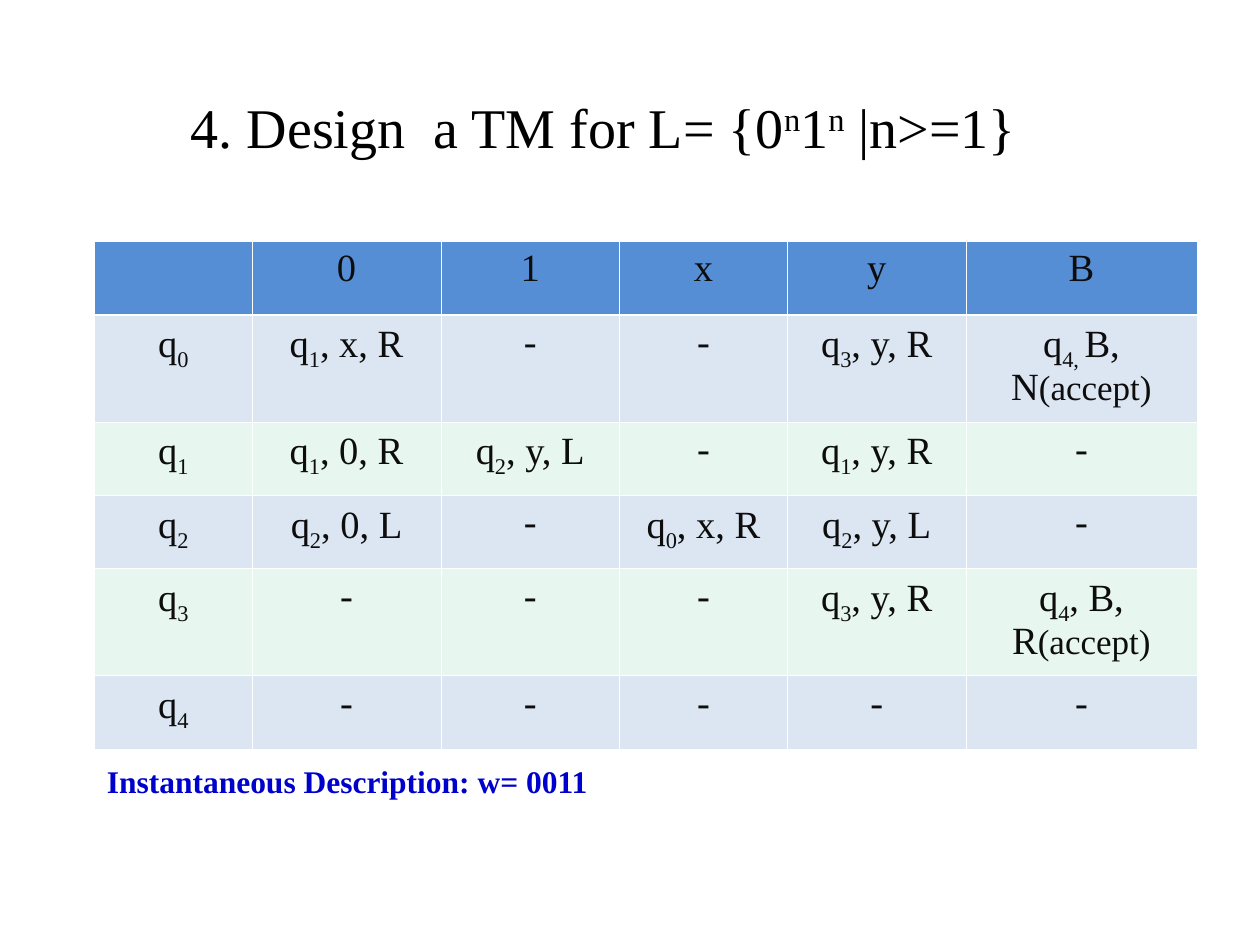
from dataclasses import dataclass

from pptx import Presentation
from pptx.dml.color import RGBColor
from pptx.enum.text import MSO_ANCHOR, MSO_AUTO_SIZE, PP_ALIGN
from pptx.oxml import parse_xml
from pptx.oxml.ns import nsdecls
from pptx.util import Inches, Pt

CENTER = PP_ALIGN.CENTER
MIDDLE = MSO_ANCHOR.MIDDLE
GROW = MSO_AUTO_SIZE.SHAPE_TO_FIT_TEXT
UNIT = Inches(1) // 12  # the slide is a grid of 120 columns by 90 rows
SUPER, SUB = 30000, -25000


@dataclass(frozen=True)
class Theme:
    font: str = "Times New Roman"
    title: str = "000000"
    body: str = "0D0D0D"
    caption: str = "0000CC"
    header: str = "558ED5"
    bands: tuple = ("DCE6F2", "E7F6EF")
    border: str = "FFFFFF"
    title_size: int = 32
    body_size: int = 22
    note_size: int = 20
    caption_size: int = 18
    thin: float = 0.45
    thick: float = 1.47


THEME = Theme()


def units(*counts):
    return [round(count * UNIT) for count in counts]


def add_run(paragraph, text, size, color, baseline=0, spacing=0, bold=False):
    run = paragraph.add_run()
    run.text = text
    run.font.name = THEME.font
    run.font.size = Pt(size)
    run.font.bold = bold
    run.font.color.rgb = RGBColor.from_string(color)
    properties = run.font._element
    if baseline:
        properties.set("baseline", str(baseline))
    if spacing:
        properties.set("spc", str(spacing))


# Title: the language the machine accepts
def add_title(slide, box):
    frame = slide.shapes.add_textbox(*units(*box)).text_frame
    frame.word_wrap = True
    frame.vertical_anchor = MIDDLE
    paragraph = frame.paragraphs[0]
    indent = paragraph._p.get_or_add_pPr()
    indent.set("marL", str(Inches(0.37)))
    indent.set("indent", str(-Inches(0.37)))
    pieces = [
        ("4. Design", 0, 0), (" ", 0, 800), ("a TM for L= {0", 0, 0),
        ("n", SUPER, 0), ("1", 0, 0), ("n", SUPER, 0), (" |n>=1}", 0, 0),
    ]
    for text, baseline, spacing in pieces:
        add_run(paragraph, text, THEME.title_size, THEME.title, baseline, spacing)


# Cell contents: (text, size, baseline) runs
def plain(text):
    return [(text, THEME.body_size, 0)]


def move(state, action="", note=""):
    runs = plain("q") + [(state, THEME.body_size, SUB)]
    if action:
        runs += plain(action)
    if note:
        runs.append((note, THEME.note_size, 0))
    return runs


NONE = plain("-")
COLUMN_UNITS = (15, 18, 17, 16, 17, 22)
ROW_UNITS = 7
TRANSITIONS = [
    [[]] + [plain(symbol) for symbol in "01xyB"],
    [move("0"), move("1", ", x, R"), NONE, NONE, move("3", ", y, R"),
     move("4, ", "B, N", "(accept)")],
    [move("1"), move("1", ", 0, R"), move("2", ", y, L"), NONE,
     move("1", ", y, R"), NONE],
    [move("2"), move("2", ", 0, L"), NONE, move("0", ", x, R"),
     move("2", ", y, L"), NONE],
    [move("3"), NONE, NONE, NONE, move("3", ", y, R"),
     move("4", ", B, R", "(accept)")],
    [move("4")] + [NONE] * 5,
]


def set_borders(cell, row):
    properties = cell._tc.get_or_add_tcPr()
    widths = {
        "lnL": THEME.thin,
        "lnR": THEME.thin,
        "lnT": THEME.thick if row == 1 else THEME.thin,
        "lnB": THEME.thick if row == 0 else THEME.thin,
    }
    # Border lines come before the fill
    for position, (side, width) in enumerate(widths.items()):
        properties.insert(position, parse_xml(
            f'<a:{side} {nsdecls("a")} w="{Pt(width)}"><a:solidFill>'
            f'<a:srgbClr val="{THEME.border}"/></a:solidFill></a:{side}>'))


def fill_cell(cell, row, runs):
    color = THEME.bands[(row - 1) % 2] if row else THEME.header
    cell.fill.solid()
    cell.fill.fore_color.rgb = RGBColor.from_string(color)
    set_borders(cell, row)
    cell.margin_left = cell.margin_right = Inches(0.1)
    cell.margin_top, cell.margin_bottom = Inches(0.07), Inches(0.05)
    paragraph = cell.text_frame.paragraphs[0]
    paragraph.alignment = CENTER
    paragraph.line_spacing = 0.93
    for text, size, baseline in runs:
        add_run(paragraph, text, size, THEME.body, baseline)


# Transition table: states down, tape symbols across
def add_transitions(slide, box):
    frame = slide.shapes.add_table(
        len(TRANSITIONS), len(COLUMN_UNITS), *units(*box))
    table = frame.table
    table.first_row = table.horz_banding = False
    for column, width in zip(table.columns, COLUMN_UNITS):
        column.width = round(box[2] * UNIT * width / sum(COLUMN_UNITS))
    for row, contents in enumerate(TRANSITIONS):
        table.rows[row].height = ROW_UNITS * UNIT
        for column, runs in enumerate(contents):
            fill_cell(table.cell(row, column), row, runs)
    frame.height = round(box[3] * UNIT)


# Caption under the table
def add_caption(slide, box):
    frame = slide.shapes.add_textbox(*units(*box)).text_frame
    frame.word_wrap = False
    frame.auto_size = GROW
    add_run(frame.paragraphs[0], "Instantaneous Description: w= 0011",
            THEME.caption_size, THEME.caption, bold=True)


def main():
    deck = Presentation()
    deck.slide_width, deck.slide_height = units(120, 90)
    slide = deck.slides.add_slide(deck.slide_layouts[6])
    add_title(slide, (17, 8, 94, 8))
    add_transitions(slide, (9, 23, 105, 47))
    add_caption(slide, (9, 72, 48.7, 4.8))
    deck.save("out.pptx")


if __name__ == "__main__":
    main()
